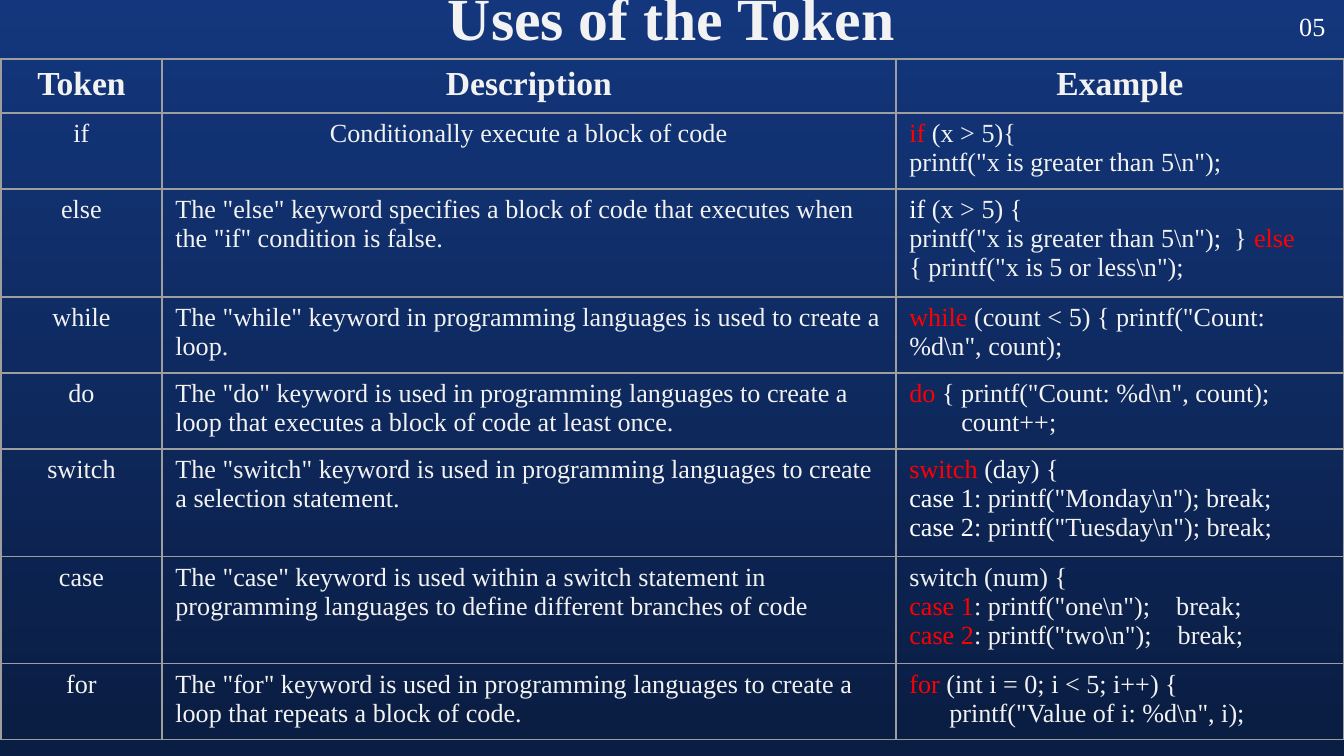
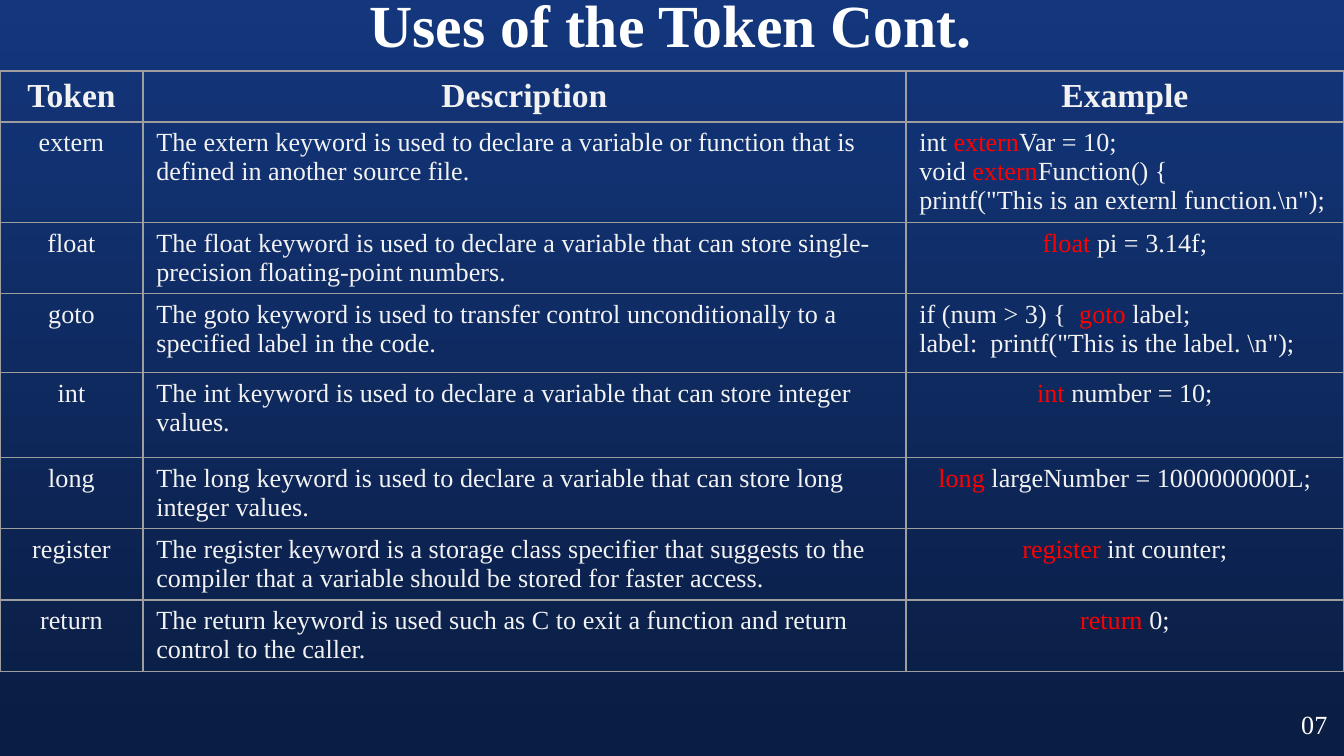
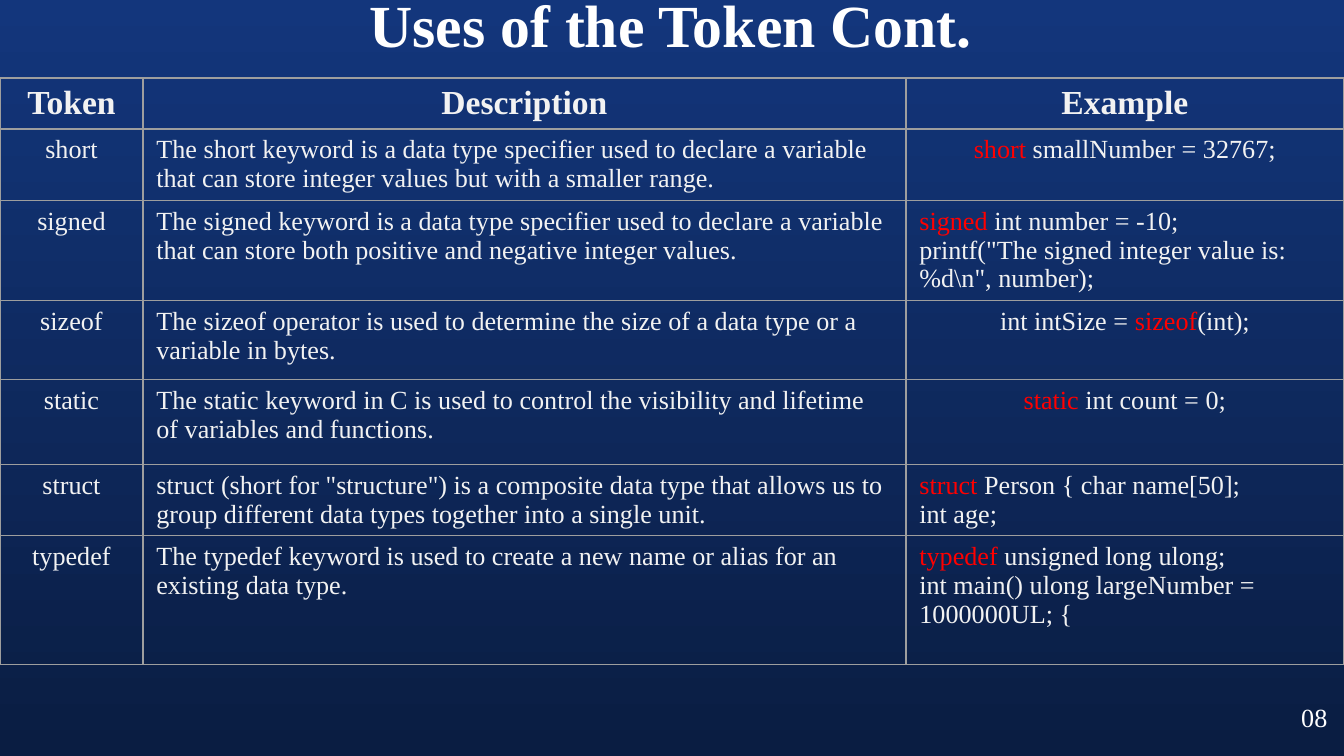
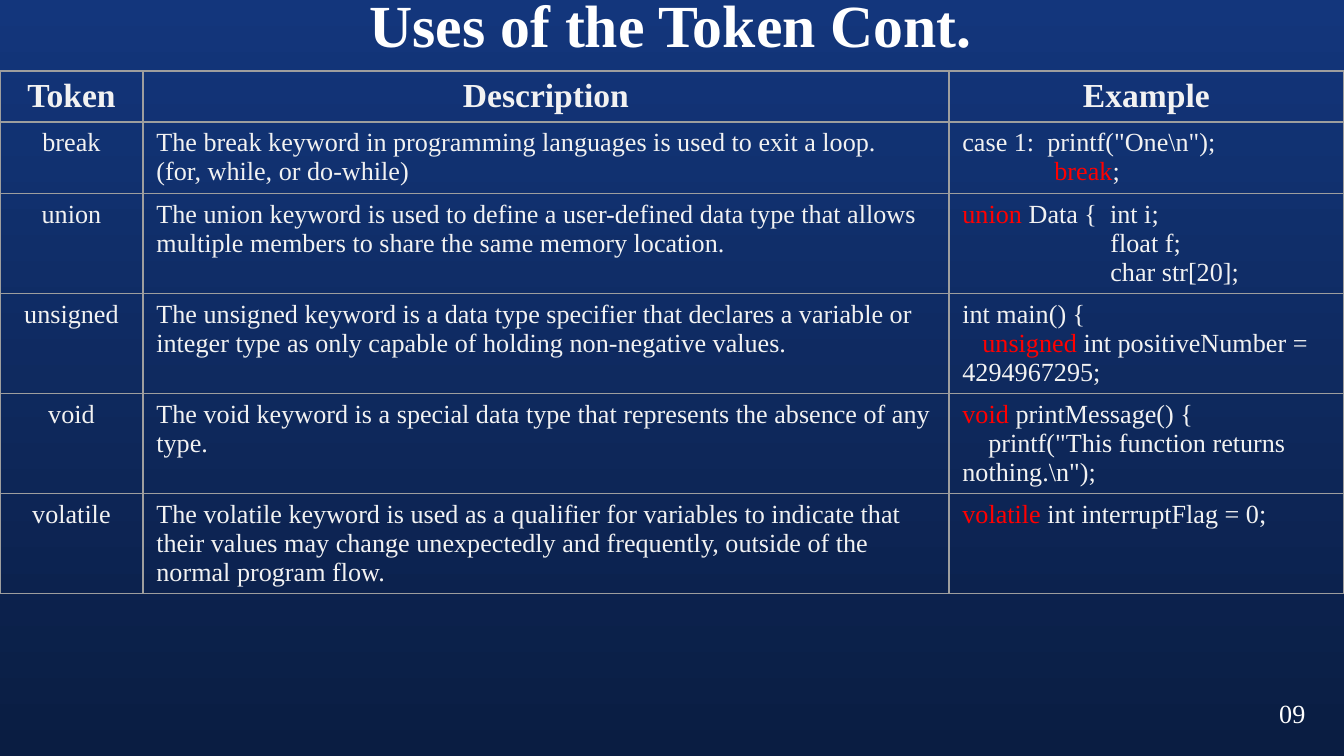
from dataclasses import dataclass
from itertools import zip_longest
from typing import Iterator, NamedTuple

from lxml import etree
from pptx import Presentation
from pptx.dml.color import RGBColor
from pptx.enum.text import MSO_ANCHOR, MSO_AUTO_SIZE, PP_ALIGN
from pptx.oxml.ns import qn
from pptx.util import Emu, Pt

CENTER, LEFT = PP_ALIGN.CENTER, PP_ALIGN.LEFT
BOTTOM, NO_AUTOFIT = MSO_ANCHOR.BOTTOM, MSO_AUTO_SIZE.NONE

EMU_PER_PX = 914400 / 134.4
SLIDE_WIDTH, SLIDE_HEIGHT = 1344, 756
TITLE_ONLY = 5

FONT = "Times New Roman"
TITLE_SIZE, HEADER_SIZE, BODY_SIZE = 32, 18, 14
LIGHT, WHITE, RED = "F2F2F2", "FFFFFF", "FF0000"
BACKGROUND_TOP, BACKGROUND_BOTTOM = "13367C", "0A1D42"
BORDER, BORDER_WIDTH = "9E9E9E", 0.75
HEADERS = ("Token", "Description", "Example")
# A mark switches its colour on, and off again at its next use.
MARKS = {"*": RED, "^": WHITE}


class Box(NamedTuple):
    left: int
    top: int
    width: int
    height: int


@dataclass(frozen=True)
class Title:
    text: str
    box: Box
    bottom_inset: int
    color: str


@dataclass(frozen=True)
class Entry:
    token: str
    description: str
    example: tuple[str, ...]
    indents: tuple[int, ...] = ()
    description_align: PP_ALIGN = LEFT
    example_align: PP_ALIGN = LEFT


@dataclass(frozen=True)
class TokenPage:
    title: Title
    number: str
    number_left: int
    number_top: int
    table_left: int
    table_top: int
    columns: tuple[int, ...]
    rows: tuple[int, ...]
    entries: tuple[Entry, ...]


FIRST_TITLE = Title("Uses of the Token", Box(411, -23, 521, 86), 10, LIGHT)
NEXT_TITLE = Title("Uses of the Token Cont.", Box(204, 19, 934, 83), 42, WHITE)

PAGES = (
    TokenPage(
        FIRST_TITLE, "05", 1286, 4, 1, 59,
        (161, 734, 448), (54, 76, 108, 76, 76, 108, 107, 76),
        (
            Entry("if", "Conditionally execute a block of code",
                  ("*if* (x > 5){", r'printf("x is greater than 5\n");'),
                  description_align=CENTER),
            Entry("else",
                  'The "else" keyword specifies a block of code that executes '
                  'when the "if" condition is false.',
                  ("^if^ (x > 5) {",
                   r'printf("x is greater than 5\n");  } *else* '
                   r'{ printf("x is 5 or less\n");')),
            Entry("while",
                  'The "while" keyword in programming languages is used to '
                  'create a loop.',
                  (r'*while* (count < 5) { printf("Count: %d\n", count);',)),
            Entry("do",
                  'The "do" keyword is used in programming languages to create '
                  'a loop that executes a block of code at least once.',
                  (r'*do* { printf("Count: %d\n", count);', "count++;"),
                  (0, 52)),
            Entry("switch",
                  'The "switch" keyword is used in programming languages to '
                  'create a selection statement.',
                  ("*switch* (day) {",
                   r'^case 1^: printf("Monday\n"); break;',
                   r'^case 2^: printf("Tuesday\n"); break;')),
            Entry("case",
                  'The "case" keyword is used within a switch statement in '
                  'programming languages to define different branches of code',
                  ("switch (num) {",
                   r'*case 1*: printf("one\n");    break;',
                   r'*case 2*: printf("two\n");    break;')),
            Entry("for",
                  'The "for" keyword is used in programming languages to create '
                  'a loop that repeats a block of code.',
                  ("*for* (int i = 0; i < 5; i++) {",
                   r'printf("Value of i: %d\n", i);'),
                  (0, 40)),
        ),
    ),
    TokenPage(
        NEXT_TITLE, "07", 1288, 702, 0, 71,
        (143, 763, 438), (51, 55, 62, 79, 85, 58, 47, 47),
        (
            Entry("extern",
                  "The extern keyword is used to declare a variable or function "
                  "that is defined in another source file.",
                  ("int *extern*Var = 10;",
                   "void *extern*Function() {",
                   r'printf("This is an externl function.\n");')),
            Entry("float",
                  "The float keyword is used to declare a variable that can "
                  "store single-precision floating-point numbers.",
                  ("*float* pi = 3.14f;",), example_align=CENTER),
            Entry("goto",
                  "The goto keyword is used to transfer control unconditionally "
                  "to a specified label in the code.",
                  ("if (num > 3) {  *goto* label;",
                   r'label:  printf("This is the label. \n");')),
            Entry("int",
                  "The int keyword is used to declare a variable that can store "
                  "integer values.",
                  ("*int* number = 10;",), example_align=CENTER),
            Entry("long",
                  "The long keyword is used to declare a variable that can store "
                  "long integer values.",
                  ("*long* largeNumber = 1000000000L;",), example_align=CENTER),
            Entry("register",
                  "The register keyword is a storage class specifier that "
                  "suggests to the compiler that a variable should be stored "
                  "for faster access.",
                  ("*register* int counter;",), example_align=CENTER),
            Entry("return",
                  "The return keyword is used such as C to exit a function and "
                  "return control to the caller.",
                  ("*return* 0;",), example_align=CENTER),
        ),
    ),
    TokenPage(
        NEXT_TITLE, "08", 1288, 695, 0, 78,
        (143, 763, 438), (51, 55, 62, 79, 85, 58, 129),
        (
            Entry("short",
                  "The short keyword is a data type specifier used to declare a "
                  "variable that can store integer values but with a smaller "
                  "range.",
                  ("*short* smallNumber = 32767;",), example_align=CENTER),
            Entry("signed",
                  "The signed keyword is a data type specifier used to declare a "
                  "variable that can store both positive and negative integer "
                  "values.",
                  ("*signed* int number = -10;",
                   r'printf("The signed integer value is: %d\n", number);')),
            Entry("sizeof",
                  "The sizeof operator is used to determine the size of a data "
                  "type or a variable in bytes.",
                  ("int intSize = *sizeof*(int);",), example_align=CENTER),
            Entry("static",
                  "The static keyword in C is used to control the visibility and "
                  "lifetime of variables and functions.",
                  ("*static* int count = 0;",), example_align=CENTER),
            Entry("struct",
                  'struct (short for "structure") is a composite data type that '
                  'allows us to group different data types together into a '
                  'single unit.',
                  ("*struct* Person { char name[50];", "int age;")),
            Entry("typedef",
                  "The typedef keyword is used to create a new name or alias for "
                  "an existing data type.",
                  ("*typedef* unsigned long ulong;",
                   "int main() ulong largeNumber = 1000000UL; {")),
        ),
    ),
    TokenPage(
        NEXT_TITLE, "09", 1266, 691, 0, 71,
        (143, 806, 395), (51, 55, 62, 60, 85, 58),
        (
            Entry("break",
                  "The break keyword in programming languages is used to exit a "
                  "loop.\n(for, while, or do-while)",
                  (r'case 1:  printf("One\n");', "*break*;"), (0, 92)),
            Entry("union",
                  "The union keyword is used to define a user-defined data type "
                  "that allows multiple members to share the same memory "
                  "location.",
                  ("*union* Data {  int i;", "float f;", "char str[20];"),
                  (0, 148, 148)),
            Entry("unsigned",
                  "The unsigned keyword is a data type specifier that declares a "
                  "variable or integer type as only capable of holding "
                  "non-negative values.",
                  ("int main() {", "*unsigned* int positiveNumber = 4294967295;"),
                  (0, 20)),
            Entry("void",
                  "The void keyword is a special data type that represents the "
                  "absence of any type.",
                  ("*void* printMessage() {",
                   r'printf("This function returns nothing.\n");'),
                  (0, 26)),
            Entry("volatile",
                  "The volatile keyword is used as a qualifier for variables to "
                  "indicate that their values may change unexpectedly and "
                  "frequently, outside of the normal program flow.",
                  ("*volatile* int interruptFlag = 0;",)),
        ),
    ),
)


def px(length: int) -> Emu:
    return Emu(round(length * EMU_PER_PX))


def rgb(color: str) -> RGBColor:
    return RGBColor.from_string(color)


def set_font(para, size: int, color: str, bold: bool = False) -> None:
    font = para.font
    font.name, font.size, font.bold = FONT, Pt(size), bold
    font.color.rgb = rgb(color)


def colored_spans(markup: str) -> Iterator[tuple[str, str]]:
    """Split marked text into pieces, each with its colour."""
    text, color = "", LIGHT
    for letter in markup:
        if letter in MARKS:
            if text:
                yield text, color
            text, color = "", LIGHT if color == MARKS[letter] else MARKS[letter]
        else:
            text += letter
    if text:
        yield text, color


def paint_background(deck) -> None:
    fill = deck.slide_master.background.fill
    fill.gradient()
    fill.gradient_angle = 270
    for stop, color in zip(fill.gradient_stops, (BACKGROUND_TOP, BACKGROUND_BOTTOM)):
        stop.color.rgb = rgb(color)


def add_title(slide, title: Title) -> None:
    shape = slide.shapes.title
    shape.left, shape.top, shape.width, shape.height = map(px, title.box)
    frame = shape.text_frame
    frame.text = title.text
    frame.auto_size = NO_AUTOFIT
    frame.vertical_anchor = BOTTOM
    frame.margin_bottom = px(title.bottom_inset)
    para = frame.paragraphs[0]
    para.alignment = CENTER
    set_font(para, TITLE_SIZE, title.color, bold=True)


def add_page_number(slide, page: TokenPage) -> None:
    box = slide.shapes.add_textbox(
        px(page.number_left), px(page.number_top), px(56), px(46))
    frame = box.text_frame
    frame.word_wrap = True
    frame.text = page.number
    set_font(frame.paragraphs[0], BODY_SIZE, WHITE)


def draw_borders(cell) -> None:
    properties = cell._tc.get_or_add_tcPr()
    for place, side in enumerate(("a:lnL", "a:lnR", "a:lnT", "a:lnB")):
        line = etree.Element(qn(side), w=str(Pt(BORDER_WIDTH)))
        fill = etree.SubElement(line, qn("a:solidFill"))
        etree.SubElement(fill, qn("a:srgbClr"), val=BORDER)
        properties.insert(place, line)


def fill_cell(cell, lines: tuple[str, ...], align: PP_ALIGN = CENTER,
              size: int = BODY_SIZE, bold: bool = False,
              indents: tuple[int, ...] = ()) -> None:
    cell.fill.background()
    draw_borders(cell)
    frame = cell.text_frame
    for index, (markup, indent) in enumerate(zip_longest(lines, indents, fillvalue=0)):
        para = frame.add_paragraph() if index else frame.paragraphs[0]
        para.alignment = align
        set_font(para, size, LIGHT, bold)
        if indent:
            para._p.get_or_add_pPr().set("indent", str(px(indent)))
        for text, color in colored_spans(markup):
            span = para.add_run()
            span.text = text
            if color != LIGHT:
                span.font.color.rgb = rgb(color)


def add_token_table(slide, page: TokenPage) -> None:
    table = slide.shapes.add_table(
        len(page.rows), len(page.columns), px(page.table_left),
        px(page.table_top), px(sum(page.columns)), px(sum(page.rows))).table
    table.first_row = table.horz_banding = False
    for column, width in zip(table.columns, page.columns):
        column.width = px(width)
    for row, height in zip(table.rows, page.rows):
        row.height = px(height)
    for index, header in enumerate(HEADERS):
        fill_cell(table.cell(0, index), (header,), size=HEADER_SIZE, bold=True)
    for row, entry in enumerate(page.entries, start=1):
        fill_cell(table.cell(row, 0), (entry.token,))
        fill_cell(table.cell(row, 1), tuple(entry.description.split("\n")),
                  entry.description_align)
        fill_cell(table.cell(row, 2), entry.example, entry.example_align,
                  indents=entry.indents)


def main() -> None:
    deck = Presentation()
    deck.slide_width, deck.slide_height = px(SLIDE_WIDTH), px(SLIDE_HEIGHT)
    paint_background(deck)
    for page in PAGES:
        slide = deck.slides.add_slide(deck.slide_layouts[TITLE_ONLY])
        add_title(slide, page.title)
        add_token_table(slide, page)
        add_page_number(slide, page)
    deck.save("out.pptx")


if __name__ == "__main__":
    main()
